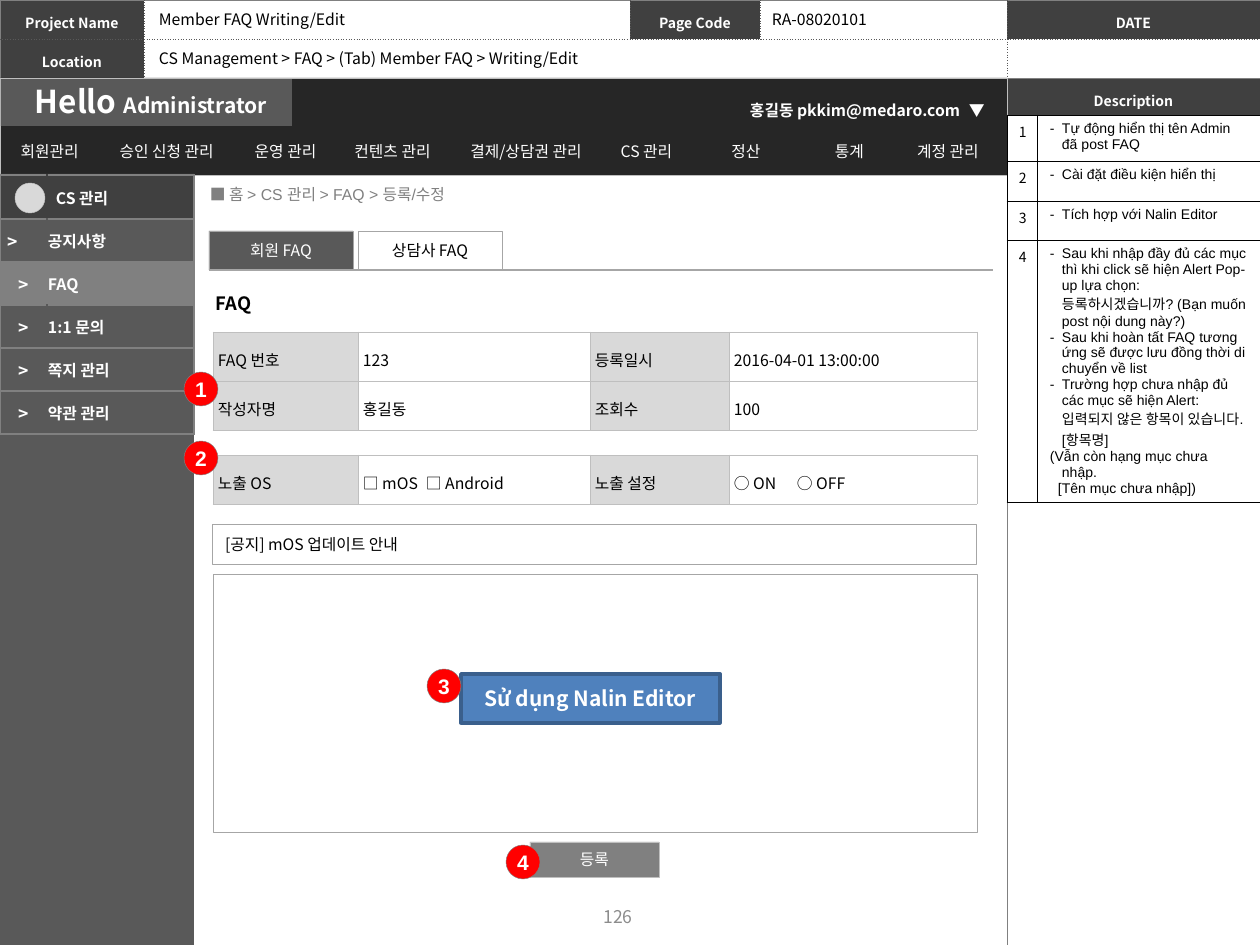
from dataclasses import dataclass

from lxml import etree
from pptx import Presentation
from pptx.dml.color import RGBColor
from pptx.enum.shapes import MSO_CONNECTOR, MSO_SHAPE
from pptx.enum.text import MSO_ANCHOR, MSO_AUTO_SIZE, PP_ALIGN
from pptx.oxml.ns import qn
from pptx.util import Pt

PX = 914400 / 126
RECT, OVAL = MSO_SHAPE.RECTANGLE, MSO_SHAPE.OVAL
LEFT, MID = PP_ALIGN.LEFT, PP_ALIGN.CENTER
NOTO, ARIAL = "Noto Sans CJK KR", "Arial"
HEX = {
    "white": "FFFFFF", "black": "000000", "red": "FF0000",
    "night": "262626", "dark": "404040", "slate": "595959", "gray": "808080",
    "page": "8C8C8C", "edge": "A6A6A6", "silver": "BFBFBF", "pale": "D9D9D9",
    "blue": "4F81BD", "navy": "3A5F8C",
}
PAD = (13, 6, 13, 6)
SLIM = (5, 1, 1, 0)
NAV = ["회원관리", "승인 신청 관리", "운영 관리", "컨텐츠 관리", "결제/상담권 관리",
       "CS 관리", "정산", "통계", "계정 관리"]
MENU = ["공지사항", "FAQ", "1:1 문의", "쪽지 관리", "약관 관리"]
FORM = [145, 232, 139, 248]
BADGES = [(184, 372), (184, 441), (427, 669), (506, 845)]
NOTES = [
    "Sau khi nhập đầy đủ các mục thì khi click sẽ hiện Alert Pop-up lựa chọn: "
    "등록하시겠습니까? (Bạn muốn post nội dung này?)",
    "Sau khi hoàn tất FAQ tương ứng sẽ được lưu đồng thời di chuyển về list",
    "Trường hợp chưa nhập đủ các mục sẽ hiện Alert: 입력되지 않은 항목이 있습니다.",
]


@dataclass
class Para:
    """Runs are (text, size) pairs that share colour, weight and font."""
    runs: list
    ink: str = "black"
    bold: bool = False
    font: str = NOTO
    align: PP_ALIGN = LEFT
    space: float = 1.0
    left: int = 0
    hang: int = 0
    mark: str = ""
    tab: int = 0


@dataclass
class Cell:
    paras: list
    fill: str = ""
    pad: tuple = PAD
    anchor: MSO_ANCHOR = MSO_ANCHOR.MIDDLE


def emu(px):
    return round(px * PX)


def rgb(name):
    return RGBColor.from_string(HEX[name])


def line(text, size=9, **kind):
    return Para([(text, size)], **kind)


def write(frame, paras):
    for n, item in enumerate(paras):
        para = frame.paragraphs[0] if n == 0 else frame.add_paragraph()
        para.alignment, para.line_spacing = item.align, item.space
        props = para._p.get_or_add_pPr()
        props.set("marL", str(emu(item.left)))
        props.set("indent", str(-emu(item.hang)))
        if item.mark:
            etree.SubElement(props, qn("a:buFont"), typeface=item.font)
            etree.SubElement(props, qn("a:buChar"), char=item.mark)
        if item.tab:
            tabs = etree.SubElement(props, qn("a:tabLst"))
            etree.SubElement(tabs, qn("a:tab"), pos=str(emu(item.tab)), algn="l")
        for text, size in item.runs:
            run = para.add_run()
            run.text = text
            font = run.font
            font.name, font.size, font.bold = item.font, Pt(size), item.bold
            font.color.rgb = rgb(item.ink)
            etree.SubElement(font._element, qn("a:ea"), typeface=NOTO)


def paint(fill, name):
    if name:
        fill.solid()
        fill.fore_color.rgb = rgb(name)
    else:
        fill.background()


def fit(frame, paras, pad=PAD):
    frame.word_wrap, frame.auto_size = True, MSO_AUTO_SIZE.NONE
    frame.vertical_anchor = MSO_ANCHOR.MIDDLE
    (frame.margin_left, frame.margin_top,
     frame.margin_right, frame.margin_bottom) = map(emu, pad)
    write(frame, paras)


def label(slide, x, y, w, h, *paras, pad=PAD):
    box = slide.shapes.add_textbox(*map(emu, (x, y, w, h)))
    fit(box.text_frame, paras, pad)


def block(slide, x, y, w, h, fill, edge="", *paras, kind=RECT, width=0.25, pad=PAD):
    shape = slide.shapes.add_shape(kind, *map(emu, (x, y, w, h)))
    shape.shadow.inherit = False
    paint(shape.fill, fill)
    paint(shape.line.fill, edge)
    if edge:
        shape.line.width = Pt(width)
    fit(shape.text_frame, paras, pad)


def border(cell, side, style):
    name, width, dash = style
    ln = etree.SubElement(cell._tc.get_or_add_tcPr(), qn("a:ln" + side),
                          w=str(Pt(width)))
    fill = etree.SubElement(ln, qn("a:solidFill"))
    etree.SubElement(fill, qn("a:srgbClr"), val=HEX[name])
    etree.SubElement(ln, qn("a:prstDash"), val=dash)


def grid(slide, x, y, cols, rows, cells, edge, horz=None, vert=None, merge=None):
    """Table with an outer edge and inner rules; vert="own" takes each cell's fill."""
    box = slide.shapes.add_table(len(rows), len(cols),
                                 *map(emu, (x, y, sum(cols), sum(rows))))
    table = box.table
    table.first_row = table.horz_banding = False
    for col, w in zip(table.columns, cols):
        col.width = emu(w)
    for row, h in zip(table.rows, rows):
        row.height = emu(h)
    if merge:
        table.cell(*merge[0]).merge(table.cell(*merge[1]))
    for r, items in enumerate(cells):
        for c, item in enumerate(items):
            item = item or Cell([])
            cell = table.cell(r, c)
            inner = (item.fill, edge[1], "solid") if vert == "own" else vert or edge
            flat = horz or edge
            border(cell, "L", edge if c == 0 else inner)
            border(cell, "R", edge if c == len(cols) - 1 else inner)
            border(cell, "T", edge if r == 0 else flat)
            border(cell, "B", edge if r == len(rows) - 1 else flat)
            paint(cell.fill, item.fill)
            cell.vertical_anchor = item.anchor
            (cell.margin_left, cell.margin_top,
             cell.margin_right, cell.margin_bottom) = map(emu, item.pad)
            write(cell.text_frame, item.paras)
            if not item.paras:
                cell.text_frame.paragraphs[0]._p.get_or_add_endParaRPr().set("sz", "800")


def head(text):
    return Cell([line(text, 8, ink="white", bold=True, align=MID, space=1.3)],
                "dark", (5, 5, 5, 5))


def form(slide, y, lines):
    """Rows of (name, value, tab stop of the value)."""
    cells = [[Cell([line(text, space=1.2, tab=tab)], fill, SLIM)
              for name, value, stop in pairs
              for text, fill, tab in ((name, "pale", 0), (value, "", stop))]
             for pairs in lines]
    grid(slide, 213, y, FORM, [49] * len(lines), cells, ("silver", 0.5, "solid"))


def header(slide):
    gray, dots = ("gray", 0.5, "solid"), ("slate", 0.5, "sysDot")
    grid(slide, 0, 0, [144, 486, 130, 247, 253], [39, 39],
         [[head("Project Name"), None, head("Page Code"), None, head("DATE")],
          [head("Location"), None, None, None, None]],
         gray, dots, dots, ((1, 1), (1, 3)))
    grid(slide, 1007, 78, [253], [39, 828], [[head("Description")], [None]], gray, dots)
    label(slide, 759, 4, 150, 31, line("RA-08020101"))
    label(slide, 146, 43, 560, 31,
          line("CS Management > FAQ > (Tab) Member FAQ > Writing/Edit"))


def banner(slide):
    block(slide, 0, 78, 1007, 97, "night", "silver")
    block(slide, 1, 79, 291, 47, "slate")
    label(slide, 22, 76, 290, 50,
          Para([("Hello ", 18), ("Administrator", 12)], "white", True))
    grid(slide, 2, 131, [95, 139, 99, 115, 152, 89, 110, 97, 100], [39],
         [[Cell([line(text, ink="white", align=MID)], pad=(0, 0, 0, 0)) for text in NAV]],
         ("night", 1, "solid"))
    bold = dict(ink="white", bold=True, space=1.2)
    label(slide, 733, 92, 244, 33, line("홍길동 pkkim@medaro.com", align=MID, **bold),
          pad=(0, 6, 0, 6))
    label(slide, 956, 92, 50, 33, line("▼", **bold))


def sidebar(slide):
    block(slide, 0, 174, 194, 771, "slate")
    white = dict(ink="white", bold=True)
    cells = [[Cell([], "dark"), Cell([line("CS 관리", **white)], "dark", (9, 1, 1, 0))]]
    for n, text in enumerate(MENU):
        fill = "gray" if text == "FAQ" else "slate"
        pad = (1, 1, 23 if n == 0 else 1, 0)
        cells.append([Cell([line(">", 10, align=MID, **white)], fill, pad),
                      Cell([line(text, **white)], fill, (1, 1, 1, 0))])
    grid(slide, 0, 175, [47, 147], [44] + [43] * 5, cells, ("gray", 1, "solid"), vert="own")
    block(slide, 15, 183, 30, 30, "pale", "silver", kind=OVAL)


def content(slide):
    label(slide, 184, 173, 784, 42,
          line("■ 홈 > CS 관리 > FAQ > 등록/수정", ink="gray", font=ARIAL), pad=(26, 6, 13, 6))
    tabs = [("회원 FAQ", "slate", "white"), ("상담사 FAQ", "white", "black")]
    for n, (text, fill, ink) in enumerate(tabs):
        block(slide, 209 + 149 * n, 231, 144, 39, fill, "edge",
              line(text, ink=ink, align=MID))
    rule = slide.shapes.add_connector(MSO_CONNECTOR.STRAIGHT,
                                      *map(emu, (209, 270, 993, 270)))
    rule.line.color.rgb, rule.line.width = rgb("edge"), Pt(0.75)
    etree.SubElement(rule._element.spPr, qn("a:effectLst"))
    label(slide, 203, 286, 90, 35, line("FAQ", 10.5, bold=True))
    form(slide, 332, [[("FAQ 번호", "123", 0), ("등록일시", "2016-04-01 13:00:00", 0)],
                      [("작성자명", "홍길동", 0), ("조회수", "100", 0)]])
    form(slide, 455, [[("노출 OS", "□ mOS\t□ Android", 60),
                       ("노출 설정", "○ ON\t○ OFF", 43)]])
    block(slide, 212, 524, 764, 40, "white", "edge", line("[공지] mOS 업데이트 안내"))
    block(slide, 213, 574, 764, 258, "white", "edge")
    block(slide, 461, 674, 259, 49, "blue", "navy",
          line("Sử dụng Nalin Editor", 12, ink="white", bold=True, align=MID), width=2)
    block(slide, 530, 842, 129, 35, "gray", "silver", line("등록", ink="white", align=MID))
    label(slide, 471, 892, 294, 50, line("126", 10, ink="page", align=MID))
    for n, (x, y) in enumerate(BADGES, 1):
        block(slide, x, y, 34, 34, "red", "gray",
              line(str(n), 12, ink="white", bold=True, font=ARIAL, align=MID),
              kind=OVAL, pad=(0, 0, 0, 0))


def notes(slide):
    def item(text, left=12, hang=12, mark="-"):
        return line(text, 8, font=ARIAL, left=left, hang=hang, mark=mark)

    texts = [[item("Tự động hiển thị tên Admin đã post FAQ")],
             [item("Cài đặt điều kiện hiển thị")],
             [item("Tích hợp với Nalin Editor")],
             [item(text) for text in NOTES] + [
                 item("[항목명]", 12, 0, ""),
                 item("(Vẫn còn hạng mục chưa nhập.", 12, 12, ""),
                 item("[Tên mục chưa nhập])", 8, 0, "")]]
    top = MSO_ANCHOR.TOP
    cells = [[Cell([line(str(n), 8)], "white", (12, 6, 0, 6), top),
              Cell(paras, "white", PAD, top)]
             for n, paras in enumerate(texts, 1)]
    grid(slide, 1007, 115, [30, 223], [46, 40, 39, 248], cells, ("black", 0.5, "solid"))


def main():
    deck = Presentation()
    deck.slide_width, deck.slide_height = emu(1260), emu(945)
    slide = deck.slides.add_slide(deck.slide_layouts[5])
    title = slide.shapes.title
    title.left, title.top, title.width, title.height = map(emu, (146, 4, 400, 31))
    fit(title.text_frame, [line("Member FAQ Writing/Edit")])
    for part in (header, banner, sidebar, content, notes):
        part(slide)
    deck.save("out.pptx")


if __name__ == "__main__":
    main()
